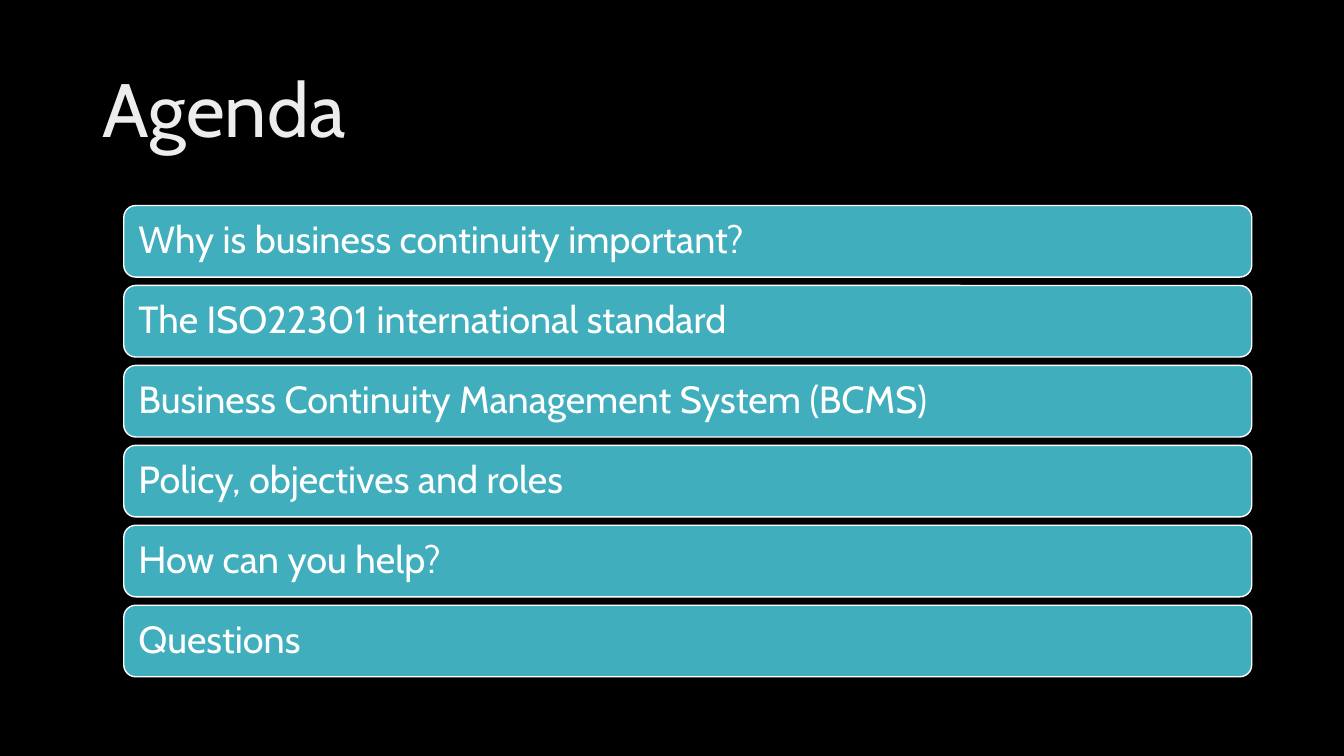
from pptx import Presentation
from pptx.dml.color import RGBColor
from pptx.enum.shapes import MSO_SHAPE
from pptx.enum.text import MSO_ANCHOR, MSO_AUTO_SIZE, PP_ALIGN
from pptx.util import Pt

ROUNDED = MSO_SHAPE.ROUNDED_RECTANGLE
MIDDLE = MSO_ANCHOR.MIDDLE
NO_AUTOFIT = MSO_AUTO_SIZE.NONE
LEFT = PP_ALIGN.LEFT

TITLE_ONLY = 5
FONT = "Cabin"
BLACK, WHITE, PALE, TEAL = "000000", "FFFFFF", "EDEDED", "41AEBD"

AGENDA = [
    "Why is business continuity important?",
    "The ISO22301 international standard",
    "Business Continuity Management System (BCMS)",
    "Policy, objectives and roles",
    "How can you help?",
    "Questions",
]
BAR_LEFT, BAR_TOP, BAR_WIDTH, BAR_HEIGHT = 88.4, 146.8, 805.7, 51.1
BAR_PITCH = 57.1


def paint(fill, color):
    fill.solid()
    fill.fore_color.rgb = RGBColor.from_string(color)


def set_text(sp, text, size, color):
    """Write one left-aligned, vertically centred paragraph in a shape."""
    tf = sp.text_frame
    tf.text = text
    tf.word_wrap = True
    tf.auto_size = NO_AUTOFIT
    tf.vertical_anchor = MIDDLE
    p = tf.paragraphs[0]
    p.alignment = LEFT
    p.line_spacing = 0.9
    p.font.name = FONT
    p.font.size = Pt(size)
    paint(p.font.fill, color)


def add_title(s, text):
    sp = s.shapes.title
    sp.left, sp.top, sp.width, sp.height = Pt(66), Pt(28.8), Pt(828), Pt(104.4)
    set_text(sp, text, 54, PALE)


def add_bar(s, top, text):
    sp = s.shapes.add_shape(ROUNDED, Pt(BAR_LEFT), Pt(top), Pt(BAR_WIDTH), Pt(BAR_HEIGHT))
    sp.shadow.inherit = False
    paint(sp.fill, TEAL)
    paint(sp.line.fill, WHITE)
    sp.line.width = Pt(1)
    tf = sp.text_frame
    tf.margin_left = tf.margin_right = tf.margin_top = tf.margin_bottom = Pt(8)
    set_text(sp, text, 27, WHITE)


def main():
    prs = Presentation()
    prs.slide_width, prs.slide_height = Pt(960), Pt(540)
    s = prs.slides.add_slide(prs.slide_layouts[TITLE_ONLY])
    paint(s.background.fill, BLACK)
    add_title(s, "Agenda")
    for i, item in enumerate(AGENDA):
        add_bar(s, BAR_TOP + i * BAR_PITCH, item)
    prs.save("out.pptx")


if __name__ == "__main__":
    main()
